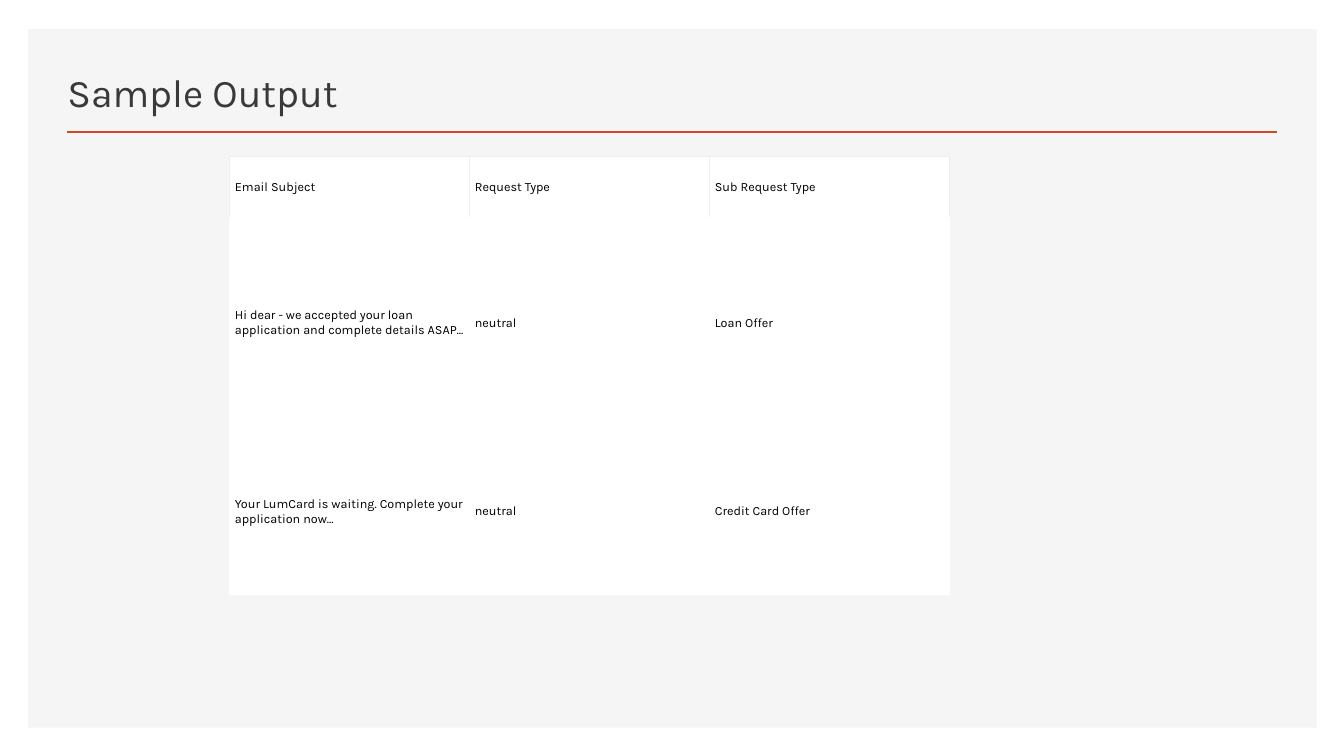
import pptx
import pptx.dml.color
import pptx.enum.shapes
import pptx.enum.text
import pptx.oxml.ns
import pptx.util
from lxml import etree

Inches = pptx.util.Inches
Pt = pptx.util.Pt

FONT = "Karla"
COLORS = {
    "panel": "F5F5F5",
    "accent": "D24726",
    "title": "3B3838",
    "text": "000000",
    "cell": "FFFFFF",
    "header_border": "EEEEEE",
}
OUTPUT_ROWS = [
    ["Email Subject", "Request Type", "Sub Request Type"],
    ["Hi dear - we accepted your loan application and complete details ASAP...",
     "neutral", "Loan Offer"],
    ["Your LumCard is waiting. Complete your application now...",
     "neutral", "Credit Card Offer"],
]
ROW_HEIGHTS = [0.61, 2.09, 1.65]


def rgb(name):
    return pptx.dml.color.RGBColor.from_string(COLORS[name])


def format_text(paragraph, size, color):
    for run in paragraph.runs:
        run.font.name = FONT
        run.font.size = Pt(size)
        run.font.color.rgb = rgb(color)


def add_panel(slide, left, top, width, height):
    panel = slide.shapes.add_shape(
        pptx.enum.shapes.MSO_SHAPE.RECTANGLE,
        Inches(left), Inches(top), Inches(width), Inches(height))
    panel.shadow.inherit = False
    panel.fill.solid()
    panel.fill.fore_color.rgb = rgb("panel")
    panel.line.fill.background()


def add_heading(slide, left, top, width, height):
    """Place the title, with the accent rule below it, in the given box."""
    title = slide.shapes.add_textbox(
        Inches(left - 0.09), Inches(top), Inches(7.52), Inches(0.7))
    frame = title.text_frame
    frame.word_wrap = True
    frame.vertical_anchor = pptx.enum.text.MSO_ANCHOR.BOTTOM
    frame.text = "Sample Output"
    format_text(frame.paragraphs[0], 28, "title")

    rule_y = Inches(top + height)
    rule = slide.shapes.add_connector(
        pptx.enum.shapes.MSO_CONNECTOR.STRAIGHT,
        Inches(left), rule_y, Inches(left + width), rule_y)
    rule.line.color.rgb = rgb("accent")
    rule.line.width = Pt(2)
    etree.SubElement(rule._element.spPr, pptx.oxml.ns.qn("a:effectLst"))


def set_border(cell, side, color, width):
    qn = pptx.oxml.ns.qn
    border = etree.SubElement(
        cell._tc.get_or_add_tcPr(), qn(f"a:ln{side}"), w=str(Pt(width)))
    fill = etree.SubElement(border, qn("a:solidFill"))
    etree.SubElement(fill, qn("a:srgbClr"), val=COLORS[color])


def format_cell(cell, is_header):
    cell.margin_left = cell.margin_right = Inches(0.05)
    cell.margin_top = cell.margin_bottom = Inches(0.01)
    cell.vertical_anchor = pptx.enum.text.MSO_ANCHOR.MIDDLE
    for side in "LRTB":
        if is_header and side != "B":
            set_border(cell, side, "header_border", 1)
        else:
            set_border(cell, side, "cell", 0.75)
    cell.fill.solid()
    cell.fill.fore_color.rgb = rgb("cell")
    format_text(cell.text_frame.paragraphs[0], 9, "text")


def add_output_table(slide, left, top, width, height):
    output = slide.shapes.add_table(
        len(OUTPUT_ROWS), len(OUTPUT_ROWS[0]),
        Inches(left), Inches(top), Inches(width), Inches(height)).table
    output.first_row = False
    output.horz_banding = False
    for row, row_height in zip(output.rows, ROW_HEIGHTS):
        row.height = Inches(row_height)
    for r, texts in enumerate(OUTPUT_ROWS):
        for c, text in enumerate(texts):
            cell = output.cell(r, c)
            cell.text = text
            format_cell(cell, is_header=r == 0)


def main():
    deck = pptx.Presentation()
    deck.slide_width = Inches(13.33)
    deck.slide_height = Inches(7.5)
    slide = deck.slides.add_slide(deck.slide_layouts[6])
    add_panel(slide, 0.28, 0.29, 12.78, 6.93)
    add_heading(slide, 0.66, 0.49, 12.01, 0.82)
    add_output_table(slide, 2.28, 1.55, 7.14, sum(ROW_HEIGHTS))
    deck.save("out.pptx")


if __name__ == "__main__":
    main()
